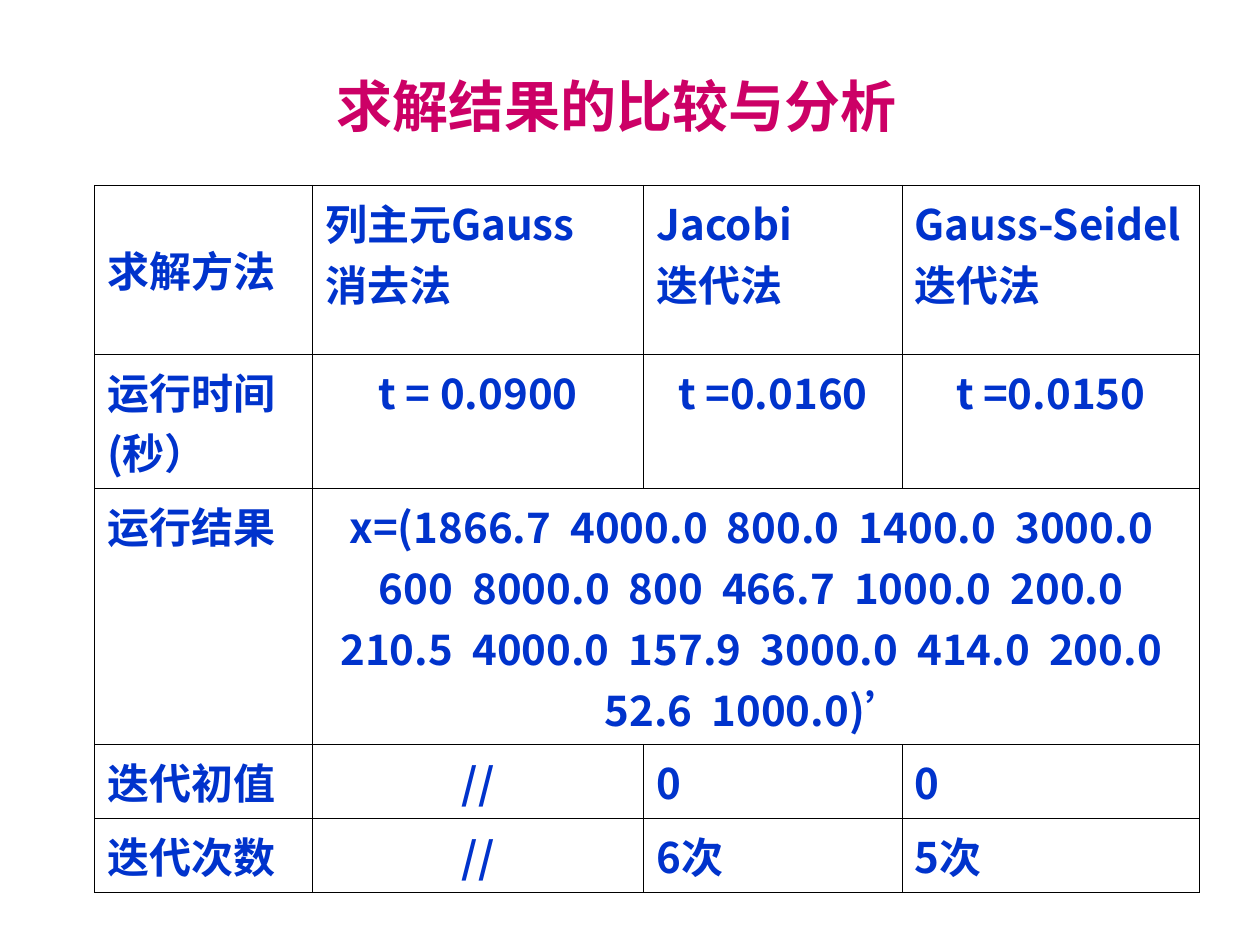
from lxml import etree
from pptx import Presentation
from pptx import util as u
from pptx.dml.color import RGBColor
from pptx.enum import text
from pptx.oxml.ns import qn

FONT = "Noto Sans CJK SC"
BLUE, MAGENTA, BLACK = "0033CC", "CC0066", "000000"
LEFT, CENTER = text.PP_ALIGN.LEFT, text.PP_ALIGN.CENTER

COLUMN_WIDTHS = [1.73, 2.63, 2.05, 2.36]
ROW_HEIGHTS = [1.34, 0.9, 1.7, 0.5, 0.5]
RESULT_ROW = 2
CENTERED_CELLS = {(1, 1), (1, 2), (1, 3), (2, 1), (3, 1), (4, 1)}
SOLUTION = [
    "1866.7", "4000.0", "800.0", "1400.0", "3000.0", "600", "8000.0",
    "800", "466.7", "1000.0", "200.0", "210.5", "4000.0", "157.9",
    "3000.0", "414.0", "200.0", "52.6", "1000.0",
]
COMPARISON = [
    ["求解方法", "列主元Gauss\n消去法", "Jacobi\n迭代法", "Gauss-Seidel迭代法"],
    ["运行时间(秒）", "t = 0.0900", "t =0.0160", "t =0.0150"],
    ["运行结果", "x=(" + "  ".join(SOLUTION) + ")’"],
    ["迭代初值", "//", "0", "0"],
    ["迭代次数", "//", "6次", "5次"],
]


def color(hex_value):
    return RGBColor.from_string(hex_value)


def write_lines(frame, content, size, hex_value, alignment):
    """Write each line of content as its own paragraph."""
    for index, line in enumerate(content.split("\n")):
        paragraph = frame.add_paragraph() if index else frame.paragraphs[0]
        paragraph.alignment = alignment
        run = paragraph.add_run()
        run.text = line
        font = run.font
        font.size = u.Pt(size)
        font.bold = True
        font.color.rgb = color(hex_value)
        font.name = FONT
        etree.SubElement(font._element, qn("a:ea"), typeface=FONT)


def draw_borders(cell, hex_value, points):
    properties = cell._tc.get_or_add_tcPr()
    for index, side in enumerate(["lnL", "lnR", "lnT", "lnB"]):
        line = etree.Element(qn(f"a:{side}"), w=str(int(u.Pt(points))))
        fill = etree.SubElement(line, qn("a:solidFill"))
        etree.SubElement(fill, qn("a:srgbClr"), val=hex_value)
        properties.insert(index, line)


def add_title(slide):
    title = slide.shapes.title
    title.left, title.top = u.Inches(2.57), u.Inches(0.52)
    title.width, title.height = u.Inches(4.65), u.Inches(0.64)
    frame = title.text_frame
    frame.word_wrap = False
    # The line fills the box, so the right inset is dropped to keep it whole.
    frame.margin_right = 0
    frame.vertical_anchor = text.MSO_ANCHOR.TOP
    write_lines(frame, "求解结果的比较与分析", 32, MAGENTA, LEFT)


def add_comparison_table(slide):
    table = slide.shapes.add_table(
        len(ROW_HEIGHTS), len(COLUMN_WIDTHS), u.Inches(0.75), u.Inches(1.47),
        u.Inches(sum(COLUMN_WIDTHS)), u.Inches(sum(ROW_HEIGHTS))).table
    table.first_row = table.horz_banding = False
    for column, width in zip(table.columns, COLUMN_WIDTHS):
        column.width = u.Inches(width)
    for row, height in zip(table.rows, ROW_HEIGHTS):
        row.height = u.Inches(height)
    for cell in table.iter_cells():
        cell.fill.background()
        draw_borders(cell, BLACK, 0.45)
    table.cell(RESULT_ROW, 1).merge(table.cell(RESULT_ROW, 3))

    for r, entries in enumerate(COMPARISON):
        for c, entry in enumerate(entries):
            alignment = CENTER if (r, c) in CENTERED_CELLS else LEFT
            write_lines(table.cell(r, c).text_frame, entry, 24, BLUE, alignment)
    table.cell(0, 0).vertical_anchor = text.MSO_ANCHOR.MIDDLE


def main():
    presentation = Presentation()
    presentation.slide_width = u.Inches(10)
    presentation.slide_height = u.Inches(7.5)
    slide = presentation.slides.add_slide(presentation.slide_layouts[5])
    add_title(slide)
    add_comparison_table(slide)
    presentation.save("out.pptx")


if __name__ == "__main__":
    main()
